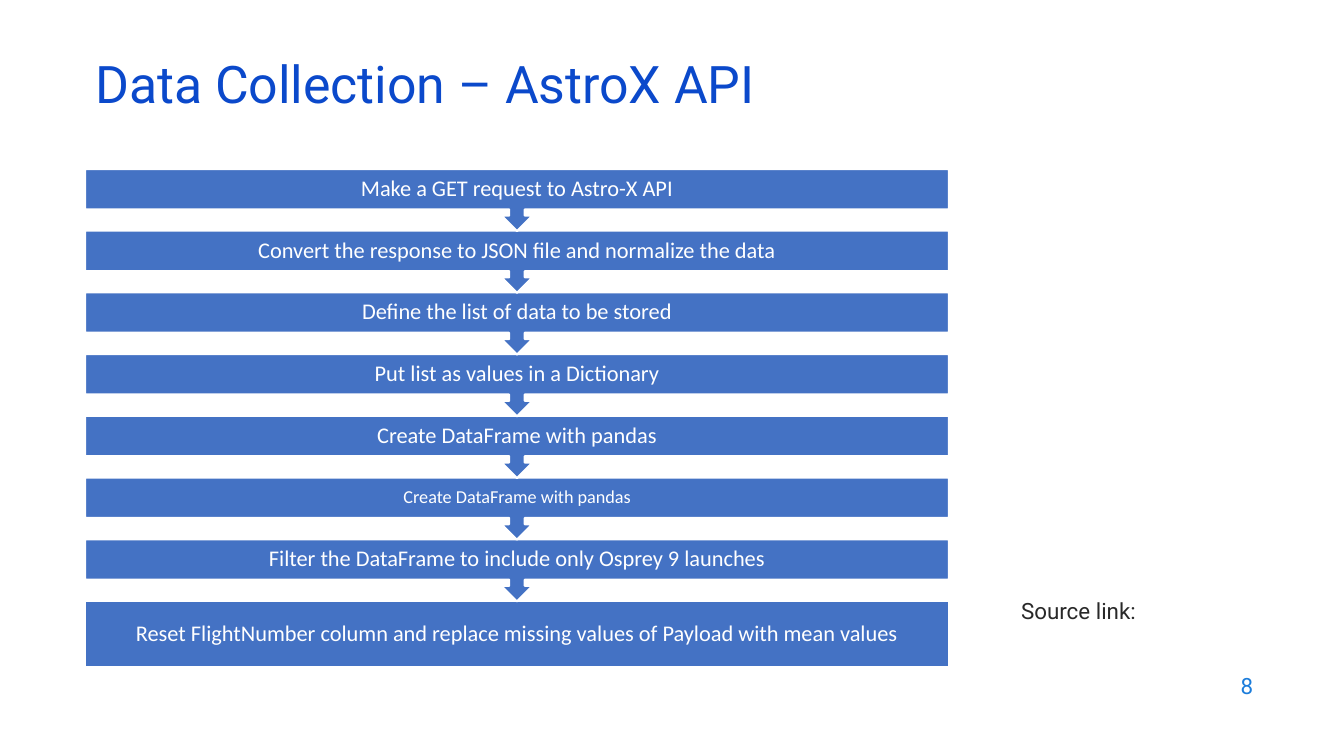
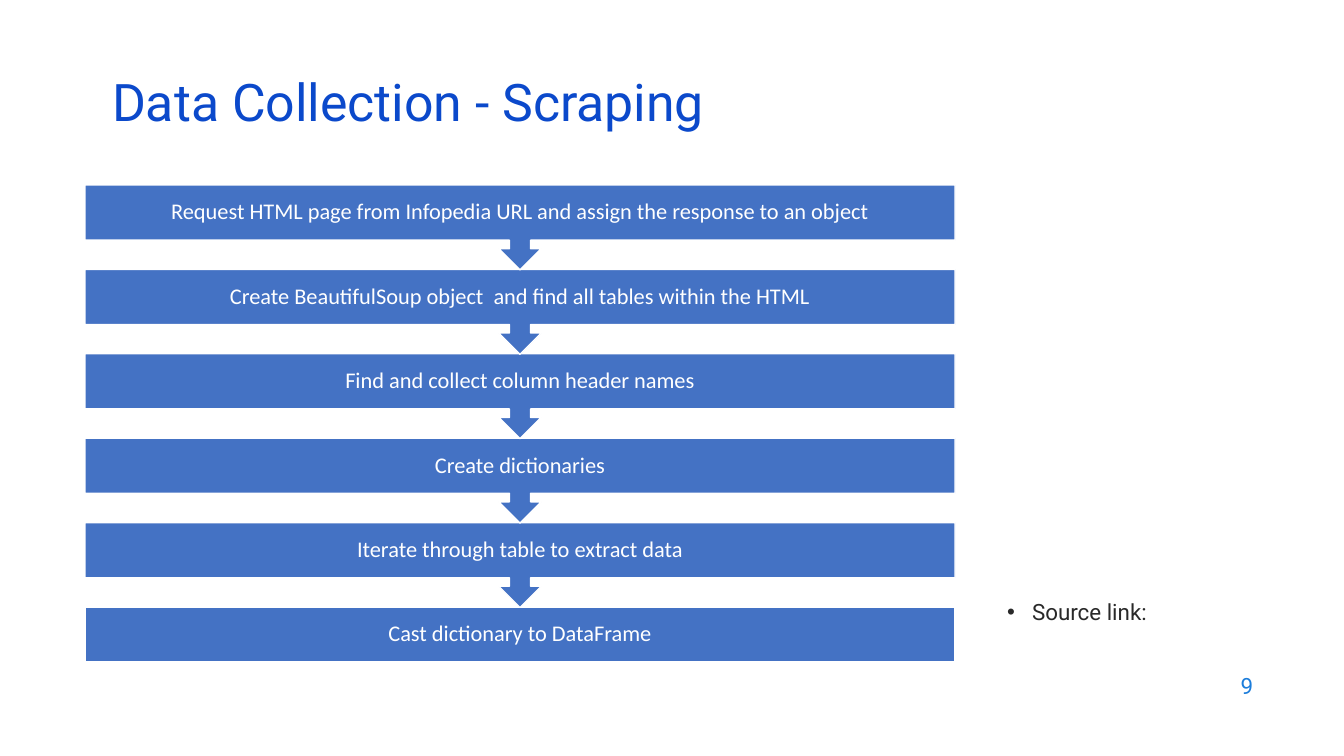
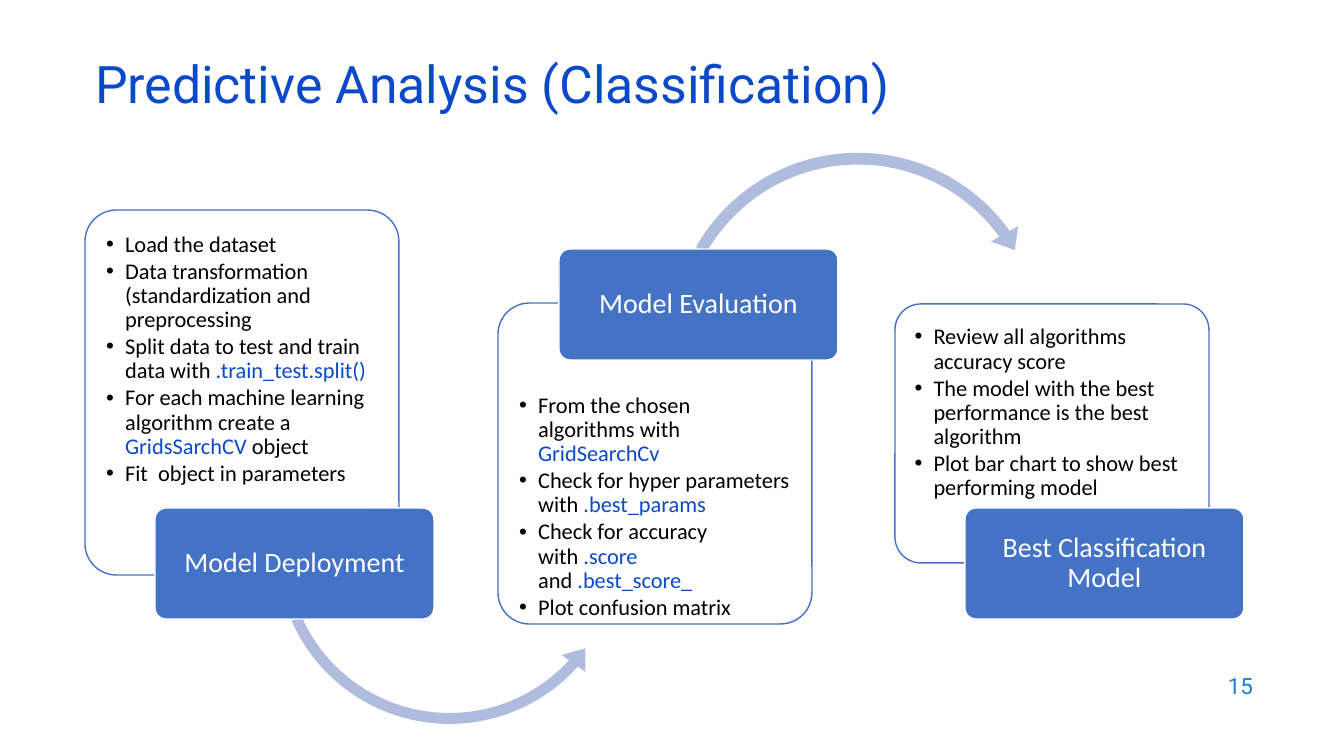
from lxml.etree import SubElement
from pptx import Presentation
from pptx.dml.color import RGBColor
from pptx.enum.shapes import MSO_SHAPE as Preset
from pptx.enum.text import MSO_ANCHOR as Anchor, MSO_AUTO_SIZE as AutoSize, PP_ALIGN as Align
from pptx.oxml.ns import qn
from pptx.util import Emu, Pt

EMU_PER_PX = 12192000 / 1344
WHITE = RGBColor(0xFF, 0xFF, 0xFF)
BLACK = RGBColor(0x00, 0x00, 0x00)
INK = RGBColor(0x29, 0x29, 0x29)
TITLE_BLUE = RGBColor(0x0B, 0x49, 0xCB)
NUMBER_BLUE = RGBColor(0x1C, 0x7D, 0xDB)
BLOCK_BLUE = RGBColor(0x44, 0x72, 0xC4)
ARROW_BLUE = RGBColor(0xB0, 0xBC, 0xDE)
HEADING_FONT = "Roboto"
DIAGRAM_FONT = "Calibri"
TITLE_ONLY, TITLE_AND_BODY = 5, 1


def px(length):
    return Emu(round(length * EMU_PER_PX))


def set_all(target, values):
    for name, value in values.items():
        setattr(target, name, value)


class Deck:
    """Holds the shared style and draws elements on the current slide."""

    def __init__(self):
        self.presentation = Presentation()
        set_all(self.presentation, {"slide_width": px(1344), "slide_height": px(756)})
        self.slide = None

    def new_slide(self, title, number, layout=TITLE_AND_BODY, left=85, top=59):
        self.slide = self.presentation.slides.add_slide(self.presentation.slide_layouts[layout])
        heading = self.slide.shapes.title
        self.place(heading, left, top, 1159, 60)
        self.put_text(heading, [title], 37, TITLE_BLUE, HEADING_FONT,
                      {"alignment": Align.LEFT, "line_spacing": 0.8})
        box = self.slide.shapes.add_textbox(px(961), px(664), px(302), px(44))
        self.put_text(box, [str(number)], 16, NUMBER_BLUE, HEADING_FONT, {"alignment": Align.RIGHT})

    def place(self, shape, left, top, width, height):
        set_all(shape, {"left": px(left), "top": px(top), "width": px(width), "height": px(height)})

    def put_text(self, shape, lines, size, color, font, paragraph_format,
                 anchor=Anchor.MIDDLE, margins=None, indent=None):
        frame = shape.text_frame
        set_all(frame, {"word_wrap": True, "auto_size": AutoSize.NONE, "vertical_anchor": anchor})
        set_all(frame, margins or {})
        for index, line in enumerate(lines):
            paragraph = frame.add_paragraph() if index else frame.paragraphs[0]
            if indent is not None:
                self.bullet(paragraph, indent)
            set_all(paragraph, paragraph_format)
            for position, words in enumerate(line.split("`")):
                if words:
                    run = paragraph.add_run()
                    run.text = words
                    set_all(run.font, {"name": font, "size": Pt(size)})
                    run.font.color.rgb = TITLE_BLUE if position % 2 else color

    def bullet(self, paragraph, indent):
        properties = paragraph._p.get_or_add_pPr()
        properties.set("marL", str(px(indent)))
        properties.set("indent", str(-px(indent)))
        if indent:
            SubElement(properties, qn("a:buFont")).set("typeface", "Arial")
            SubElement(properties, qn("a:buChar")).set("char", "•")
        else:
            SubElement(properties, qn("a:buNone"))

    def body(self, text, left, top, width, height, indent=0):
        holder = self.slide.placeholders[1]
        self.place(holder, left, top, width, height)
        self.put_text(holder, [text], 16, INK, HEADING_FONT, {"space_before": Pt(0)},
                      Anchor.TOP, indent=indent)

    def block(self, preset, left, top, width, height, fill, line=None, line_width=1, adjustments=()):
        shape = self.slide.shapes.add_shape(preset, px(left), px(top), px(width), px(height))
        shape.shadow.inherit = False
        shape.fill.solid()
        shape.fill.fore_color.rgb = fill
        if line is None:
            shape.line.fill.background()
        else:
            shape.line.color.rgb = line
            shape.line.width = Pt(line_width)
        for index, value in enumerate(adjustments):
            shape.adjustments[index] = value
        return shape

    def flow(self, steps, top, last_top, width, last_height, line_width, sizes=None):
        last = len(steps) - 1
        pitch = (last_top - top) / last
        for index in range(last, -1, -1):
            preset, height = ((Preset.RECTANGLE, last_height) if index == last
                              else (Preset.DOWN_ARROW_CALLOUT, pitch + 0.5))
            shape = self.block(preset, 85, top + index * pitch, width, height,
                               BLOCK_BLUE, WHITE, line_width)
            self.put_text(shape, [steps[index]], (sizes or {}).get(index, 16), WHITE, DIAGRAM_FONT,
                          {"alignment": Align.CENTER, "line_spacing": 0.9},
                          margins={"margin_top": 0, "margin_bottom": 0})

    def panel(self, lines, left, top, height, top_margin=14):
        shape = self.block(Preset.ROUNDED_RECTANGLE, left, top, 314, height,
                           WHITE, BLOCK_BLUE, adjustments=[0.1])
        margins = {"margin_left": px(12), "margin_right": px(12), "margin_top": px(top_margin)}
        self.put_text(shape, lines, 16, BLACK, DIAGRAM_FONT,
                      {"alignment": Align.LEFT, "line_spacing": 0.9, "space_after": Pt(2)},
                      Anchor.TOP, margins, indent=19)

    def label(self, text, left, top):
        shape = self.block(Preset.ROUNDED_RECTANGLE, left, top, 279, 111,
                           BLOCK_BLUE, WHITE, adjustments=[0.1])
        self.put_text(shape, [text], 20, WHITE, DIAGRAM_FONT,
                      {"alignment": Align.CENTER, "line_spacing": 0.9},
                      margins={"margin_left": px(4), "margin_right": px(4)})

    def curved_arrow(self, preset, left, top, size, adjustments):
        self.block(preset, left, top, size, size, ARROW_BLUE, adjustments=adjustments)


def main():
    deck = Deck()

    deck.new_slide("Data Collection – AstroX API", 8)
    deck.body("Source link:", 1011, 592, 233, 73)
    deck.flow([
        "Make a GET request to Astro-X API",
        "Convert the response to JSON file and normalize the data",
        "Define the list of data to be stored",
        "Put list as values in a Dictionary",
        "Create DataFrame with pandas",
        "Create DataFrame with pandas",
        "Filter the DataFrame to include only Osprey 9 launches",
        "Reset FlightNumber column and replace missing values of Payload with mean values",
    ], top=169, last_top=601, width=864, last_height=66, line_width=1.5, sizes={5: 13})

    deck.new_slide("Data Collection - Scraping", 9, left=102, top=77)
    deck.body("Source link:", 997, 593, 266, 54, indent=25)
    deck.flow([
        "Request HTML page from Infopedia URL and assign the response to an object",
        "Create BeautifulSoup object  and find all tables within the HTML",
        "Find and collect column header names",
        "Create dictionaries",
        "Iterate through table to extract data",
        "Cast dictionary to DataFrame",
    ], top=185, last_top=607, width=870, last_height=55, line_width=1)

    deck.new_slide("Predictive Analysis (Classification)", 15, TITLE_ONLY)
    deck.panel([
        "Load the dataset",
        "Data transformation (standardization and preprocessing",
        "Split data to test and train data with `.train_test.split()`",
        "For each machine learning algorithm create a `GridsSarchCV` object",
        "Fit  object in parameters",
    ], 85, 210, 365)
    deck.curved_arrow(Preset.LEFT_CIRCULAR_ARROW, 268, 370, 363, [0.03, 3.98, 25.25, 93.76, 0.04])
    deck.label("Model Deployment", 155, 508)
    deck.panel([
        "From the chosen algorithms with `GridSearchCv`",
        "Check for hyper parameters with `.best_params`",
        "Check for accuracy with `.score `and `.best_score_`",
        "Plot confusion matrix",
    ], 498, 303, 321, top_margin=82)
    deck.curved_arrow(Preset.CIRCULAR_ARROW, 662, 143, 392, [0.03, 3.66, 194.61, 125.78, 0.04])
    deck.label("Model Evaluation", 559, 249)
    deck.panel([
        "Review all algorithms accuracy score",
        "The model with the best performance is the best algorithm",
        "Plot bar chart to show best performing model",
    ], 895, 304, 259)
    deck.label("Best Classification Model", 965, 508)

    deck.presentation.save("out.pptx")


if __name__ == "__main__":
    main()
